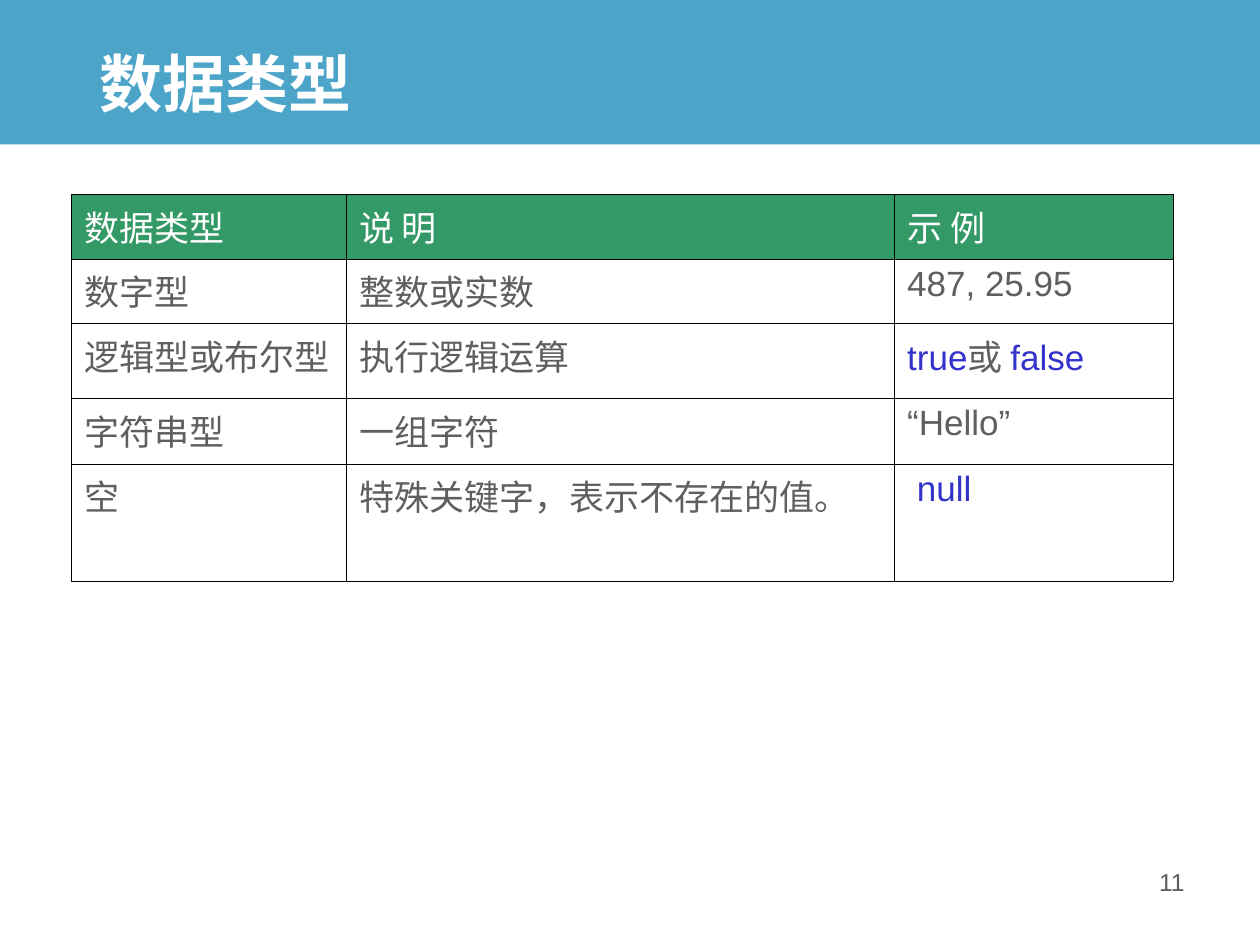
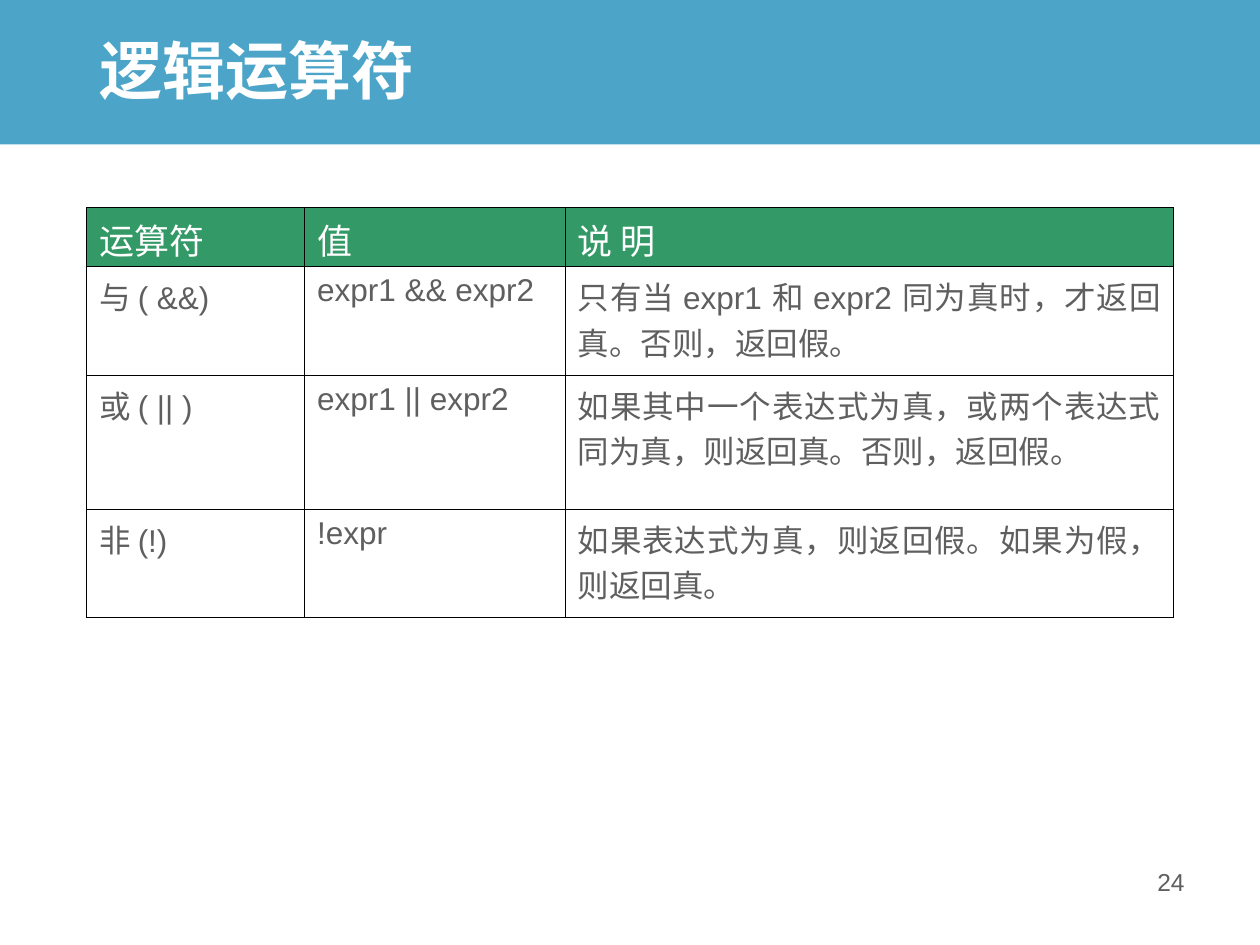
from lxml.etree import SubElement
from pptx import Presentation
from pptx.dml.color import RGBColor
from pptx.enum.shapes import MSO_SHAPE
from pptx.enum.text import MSO_ANCHOR, PP_ALIGN
from pptx.oxml.ns import qn
from pptx.util import Pt

FONT = "Arial"
BAND_BLUE = RGBColor(0x00, 0x80, 0xB2)
HEADER_GREEN = RGBColor(0x33, 0x99, 0x66)
KEYWORD_BLUE = RGBColor(0x33, 0x33, 0xCC)
TEXT_GRAY = RGBColor(0x5F, 0x5F, 0x5F)
WHITE = RGBColor(0xFF, 0xFF, 0xFF)
BLACK = RGBColor(0x00, 0x00, 0x00)

DATA_TYPES = [
    ["数据类型", "说 明", "示 例"],
    ["数字型", "整数或实数", "487, 25.95"],
    ["逻辑型或布尔型", "执行逻辑运算",
     [("true", KEYWORD_BLUE), ("或 ", TEXT_GRAY), ("false", KEYWORD_BLUE)]],
    ["字符串型", "一组字符", "“Hello”"],
    ["空", "特殊关键字，表示不存在的值。", [(" null", KEYWORD_BLUE)]],
]
LOGICAL_OPERATORS = [
    ["运算符", "值", "说 明"],
    ["与 ( &&)", "expr1 && expr2",
     "只有当 expr1 和 expr2 同为真时，才返回真。否则，返回假。"],
    ["或 ( || )", "expr1 || expr2",
     "如果其中一个表达式为真，或两个表达式同为真，则返回真。否则，返回假。"],
    ["非 (!)", "!expr", "如果表达式为真，则返回假。如果为假，则返回真。"],
]


def style_paragraph(paragraph, size, color, alignment=PP_ALIGN.LEFT, bold=False):
    """Set the font and alignment of a whole paragraph."""
    paragraph.alignment = alignment
    font = paragraph.font
    font.name, font.size, font.bold = FONT, Pt(size), bold
    font.color.rgb = color


def add_text(slide, text, box, size, color, anchor=MSO_ANCHOR.TOP, **style):
    """Add a one-paragraph text box and return its paragraph."""
    frame = slide.shapes.add_textbox(*map(Pt, box)).text_frame
    frame.word_wrap = True
    frame.vertical_anchor = anchor
    paragraph = frame.paragraphs[0]
    paragraph.text = text
    style_paragraph(paragraph, size, color, **style)
    return paragraph


def add_band(slide):
    """Add the translucent band behind the title."""
    band = slide.shapes.add_shape(MSO_SHAPE.RECTANGLE, 0, 0, Pt(720), Pt(82.5))
    band.shadow.inherit = False
    band.line.fill.background()
    band.fill.solid()
    band.fill.fore_color.rgb = BAND_BLUE
    color = band.fill._xPr.find(qn("a:solidFill"))[0]
    SubElement(color, qn("a:alpha"), val="70000")


def add_base_slide(presentation, title, number, title_anchor):
    """Add a slide with the shared band, title and page number."""
    slide = presentation.slides.add_slide(presentation.slide_layouts[6])
    add_band(slide)
    add_text(slide, str(number), (516.2, 491.8, 167.8, 37.4), 14, TEXT_GRAY,
             alignment=PP_ALIGN.RIGHT)
    heading = add_text(slide, title, (49.7, 11.5, 621.4, 61.2), 36, WHITE,
                       anchor=title_anchor, bold=True)
    heading.line_spacing = 0.9
    return slide


def add_borders(cell):
    """Draw thin black lines on all four sides of a cell."""
    properties = cell._tc.get_or_add_tcPr()
    for side in ("lnL", "lnR", "lnT", "lnB"):
        line = SubElement(properties, qn(f"a:{side}"), w=str(Pt(0.45)))
        fill = SubElement(line, qn("a:solidFill"))
        SubElement(fill, qn("a:srgbClr"), val=str(BLACK))


def fill_cell(cell, content, size, color, background, alignment):
    """Write plain text or coloured runs into a cell and style it."""
    add_borders(cell)
    cell.fill.solid()
    cell.fill.fore_color.rgb = background
    paragraph = cell.text_frame.paragraphs[0]
    style_paragraph(paragraph, size, color, alignment)
    if isinstance(content, str):
        paragraph.text = content
        return
    for text, run_color in content:
        run = paragraph.add_run()
        run.text = text
        run.font.color.rgb = run_color


def add_grid(slide, rows, left, top, widths, heights, body_size,
             header_anchor, left_aligned):
    """Add a table with a green header row and justified body cells."""
    table = slide.shapes.add_table(
        len(rows), len(widths), Pt(left), Pt(top),
        Pt(sum(widths)), Pt(sum(heights))).table
    table.first_row = table.horz_banding = False
    for column, width in zip(table.columns, widths):
        column.width = Pt(width)
    for row, height in zip(table.rows, heights):
        row.height = Pt(height)
    for i, row in enumerate(rows):
        for j, content in enumerate(row):
            cell = table.cell(i, j)
            if i == 0:
                cell.vertical_anchor = header_anchor
                fill_cell(cell, content, 20, WHITE, HEADER_GREEN, PP_ALIGN.LEFT)
            else:
                alignment = PP_ALIGN.LEFT if (i, j) in left_aligned else PP_ALIGN.JUSTIFY
                fill_cell(cell, content, body_size, TEXT_GRAY, WHITE, alignment)


def main():
    """Build and save the two slides."""
    presentation = Presentation()
    presentation.slide_width, presentation.slide_height = Pt(720), Pt(540)

    slide = add_base_slide(presentation, "数据类型", 11, MSO_ANCHOR.BOTTOM)
    add_grid(slide, DATA_TYPES, 41, 111.3, [157, 313.2, 159.1],
             [36.7, 36.7, 42.8, 37.7, 67], 20, MSO_ANCHOR.TOP, {(2, 1), (4, 1)})

    slide = add_base_slide(presentation, "逻辑运算符", 24, MSO_ANCHOR.MIDDLE)
    add_grid(slide, LOGICAL_OPERATORS, 49.5, 118.5, [124.6, 148.8, 347.8],
             [34, 62, 76.5, 62], 18, MSO_ANCHOR.MIDDLE, {(1, 0), (2, 0), (3, 0)})

    presentation.save("out.pptx")


if __name__ == "__main__":
    main()
